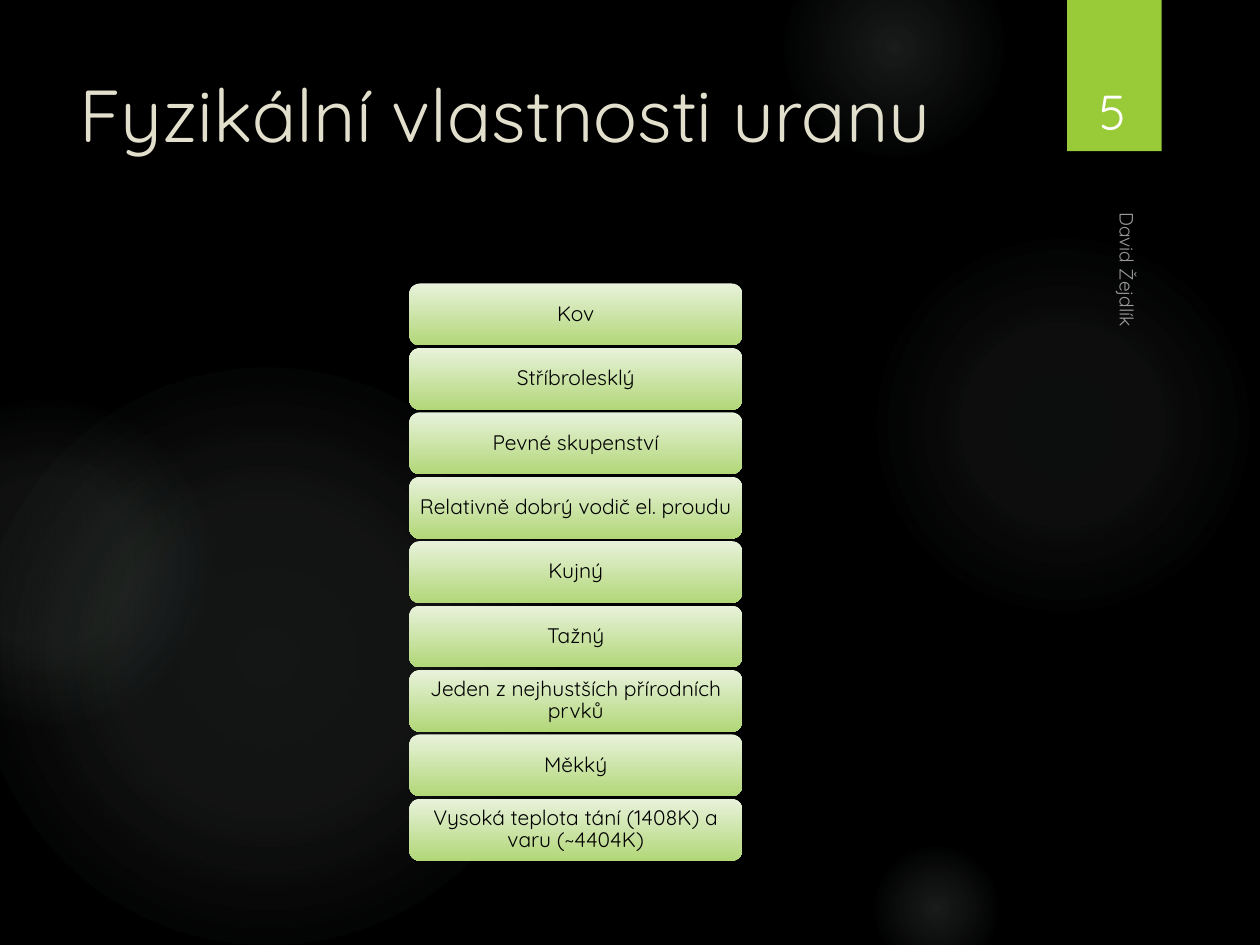
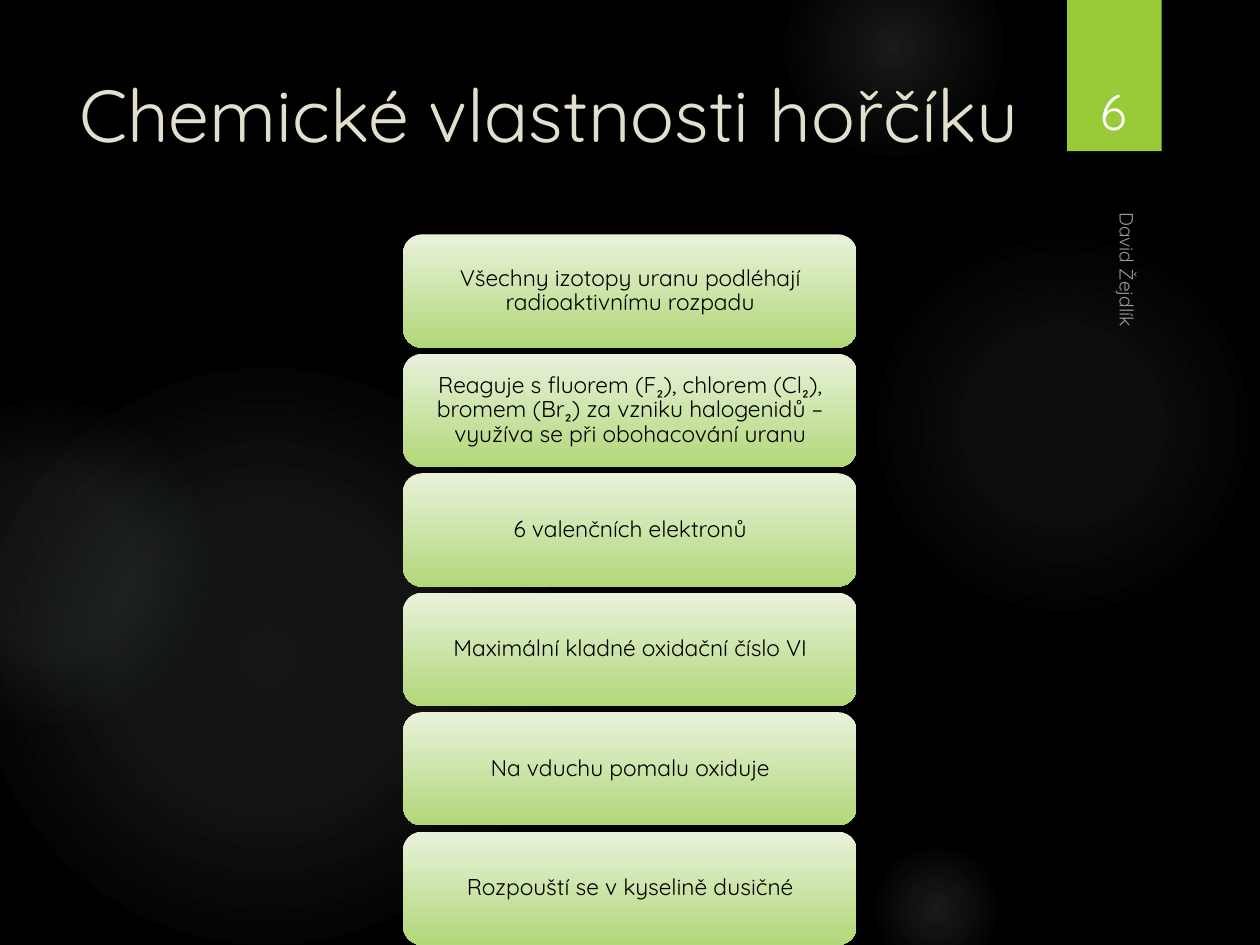
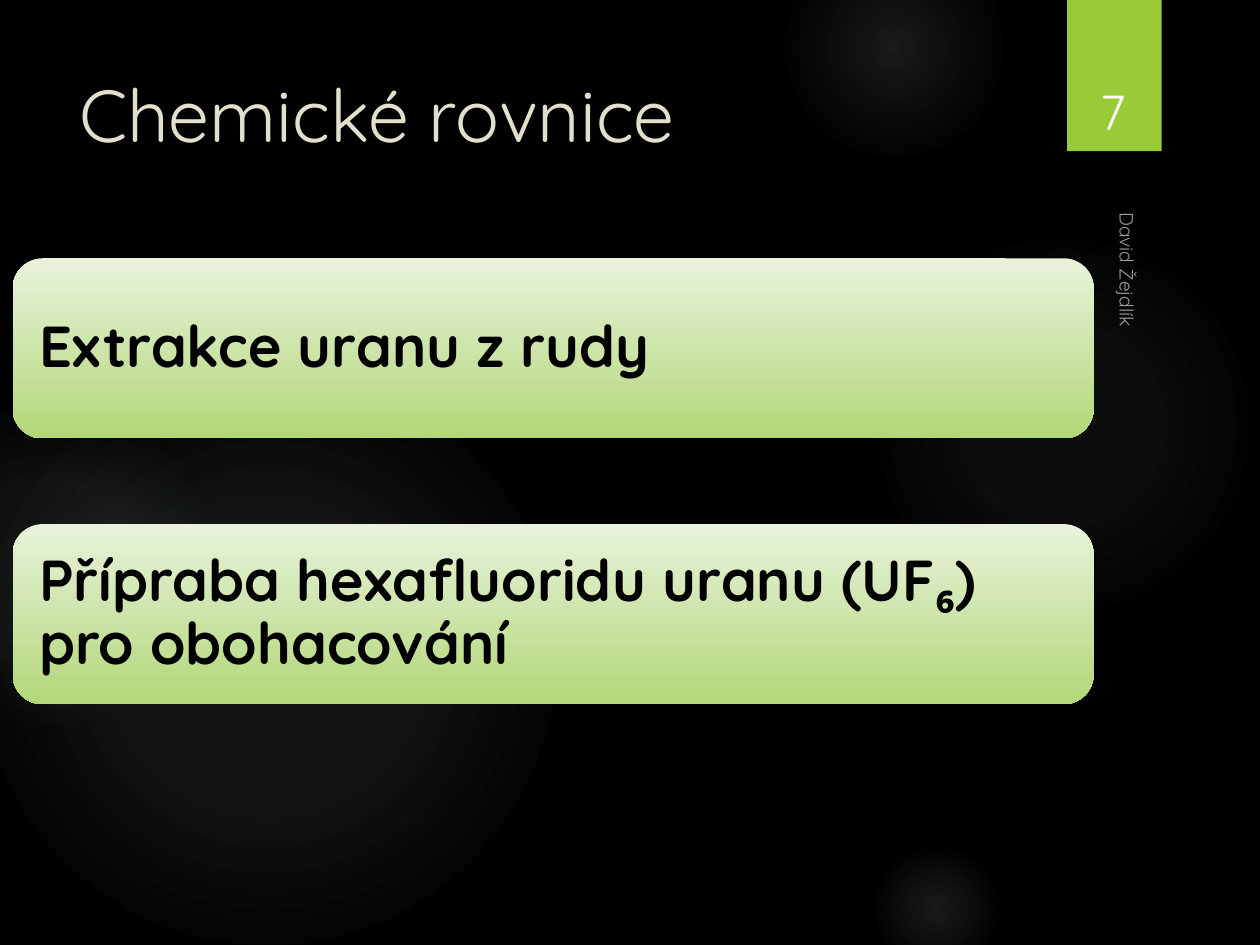
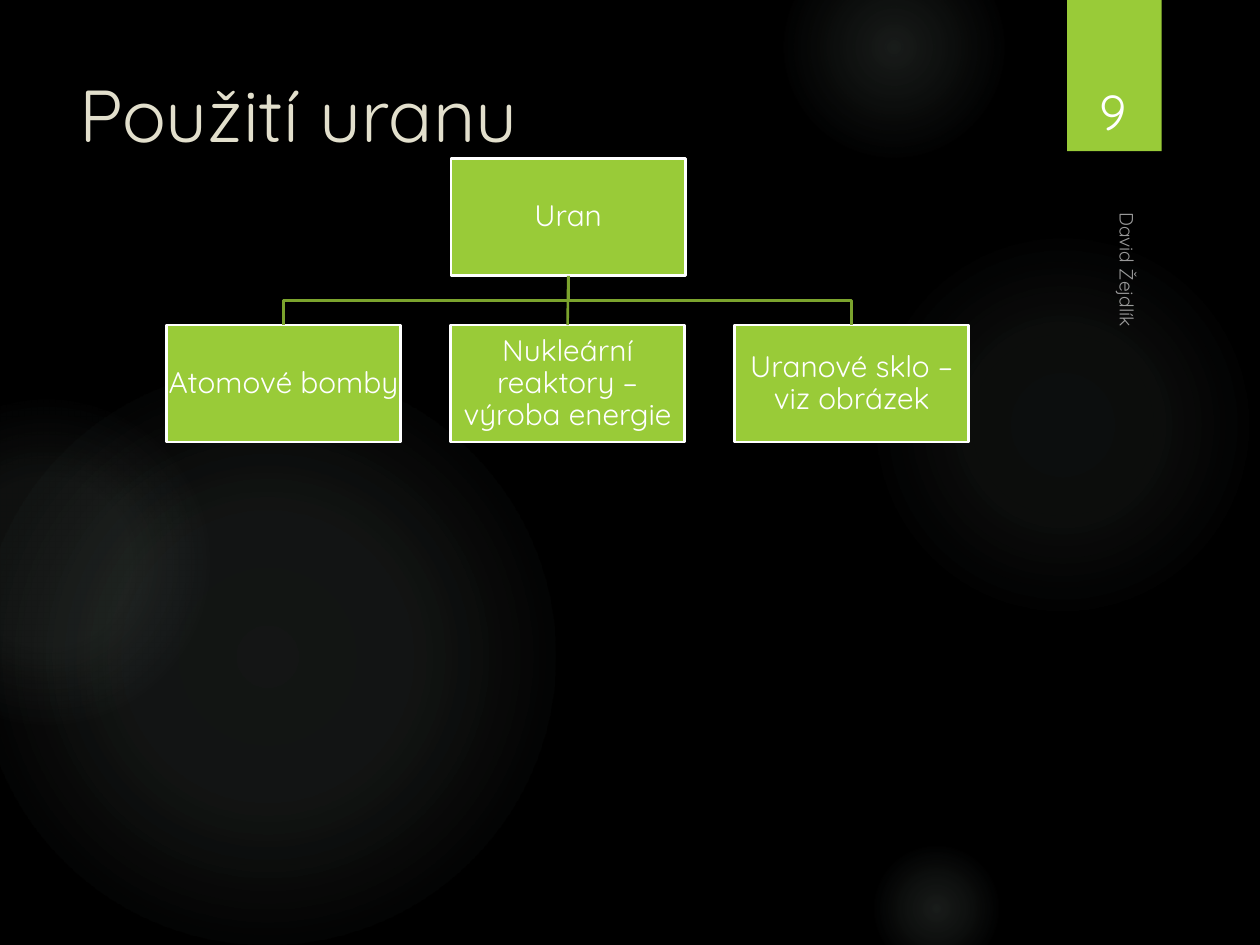
"""Build four slides on the properties, equations and uses of uranium."""
from dataclasses import dataclass

from lxml.etree import SubElement
from pptx import Presentation
from pptx.dml.color import RGBColor
from pptx.enum.shapes import MSO_CONNECTOR, MSO_SHAPE
from pptx.enum.text import MSO_ANCHOR, PP_ALIGN
from pptx.oxml import parse_xml
from pptx.oxml.ns import nsdecls, qn
from pptx.util import Inches, Pt


@dataclass(frozen=True)
class Theme:
    font: str = "Quicksand"
    background: str = "000000"
    glow: str = "AFC5B9"
    accent: str = "99CB38"
    branch: str = "7BA32D"
    title: str = "E2DFCC"
    light: str = "FFFFFF"
    dark: str = "000000"
    panel_top: str = "E8F2DB"
    panel_bottom: str = "B2D778"
    title_size: int = 42
    number_size: int = 28
    author_size: int = 11
    use_size: int = 17
    outline: float = 1.5


THEME = Theme()
AUTHOR = "David Žejdlík"


def write(shape, text, size, color, align=PP_ALIGN.LEFT, anchor=MSO_ANCHOR.TOP,
          inset=(0.1, 0.05), bold=False, spacing=1.0):
    frame = shape.text_frame
    frame.word_wrap = True
    frame.vertical_anchor = anchor
    frame.margin_left = frame.margin_right = Inches(inset[0])
    frame.margin_top = frame.margin_bottom = Inches(inset[1])
    paragraph = frame.paragraphs[0]
    paragraph.alignment = align
    paragraph.line_spacing = spacing
    run = paragraph.add_run()
    run.text = text
    run.font.name = THEME.font
    run.font.size = Pt(size)
    run.font.bold = bold
    run.font.color.rgb = RGBColor.from_string(color)
    return run


def draw(slide, preset, left, top, width, height, color=None):
    shape = slide.shapes.add_shape(
        preset, Inches(left), Inches(top), Inches(width), Inches(height))
    shape.shadow.inherit = False
    shape.line.fill.background()
    if color:
        shape.fill.solid()
        shape.fill.fore_color.rgb = RGBColor.from_string(color)
    else:
        shape.fill.background()
    return shape


GLOWS = [
    (6.89, 1.83, 3.08, [(0, 7), (36, 6), (69, 0)]),
    (6.22, -0.5, 1.75, [(0, 14), (36, 7), (73, 0)]),
    (6.89, 6.67, 1.08, [(0, 14), (36, 7), (66, 0)]),
    (-0.17, 2.92, 4.58, [(0, 11), (36, 10), (75, 0)]),
    (-0.92, 3.17, 2.58, [(0, 8), (36, 8), (72, 0)]),
]

PAGES = [
    ("Fyzikální vlastnosti uranu", 5),
    ("Chemické vlastnosti hořčíku", 6),
    ("Chemické rovnice", 7),
    ("Použití uranu", 9),
]

STACKS = [
    dict(left=3.25, first_top=2.25, last_top=6.34, width=2.64, height=0.49,
         size=12, inset=(0.05, 0.03), align=PP_ALIGN.CENTER, bold=False,
         facts=["Kov", "Stříbrolesklý", "Pevné skupenství",
                "Relativně dobrý vodič el. proudu", "Kujný", "Tažný",
                "Jeden z nejhustších přírodních prvků", "Měkký",
                "Vysoká teplota tání (1408K) a varu (~4404K)"]),
    dict(left=3.2, first_top=1.86, last_top=6.6, width=3.6, height=0.9,
         size=13, inset=(0.05, 0.03), align=PP_ALIGN.CENTER, bold=False,
         facts=["Všechny izotopy uranu podléhají radioaktivnímu rozpadu",
                "Reaguje s fluorem (F₂), chlorem (Cl₂), bromem (Br₂) za vzniku "
                "halogenidů – využíva se při obohacování uranu",
                "6 valenčních elektronů",
                "Maximální kladné oxidační číslo VI",
                "Na vduchu pomalu oxiduje",
                "Rozpouští se v kyselině dusičné"]),
    dict(left=0.1, first_top=2.05, last_top=4.16, width=8.58, height=1.43,
         size=33, inset=(0.14, 0.14), align=PP_ALIGN.LEFT, bold=True,
         facts=["Extrakce uranu z rudy",
                "Přípraba hexafluoridu uranu (UF₆) pro obohacování"]),
]

USES = ["Atomové bomby", "Nukleární reaktory – výroba energie",
        "Uranové sklo – viz obrázek"]

deck = Presentation()
deck.slide_width = Inches(10)
deck.slide_height = Inches(7.5)
slides = []

for heading, number in PAGES:
    slide = deck.slides.add_slide(deck.slide_layouts[6])
    slides.append(slide)
    slide.background.fill.solid()
    slide.background.fill.fore_color.rgb = RGBColor.from_string(THEME.background)

    for left, top, diameter, stops in GLOWS:
        glow = draw(slide, MSO_SHAPE.OVAL, left, top, diameter, diameter)
        stop_list = "".join(
            f'<a:gs pos="{position * 1000}"><a:srgbClr val="{THEME.glow}">'
            f'<a:alpha val="{alpha * 1000}"/></a:srgbClr></a:gs>'
            for position, alpha in stops)
        gradient = parse_xml(
            f'<a:gradFill {nsdecls("a")}><a:gsLst>{stop_list}</a:gsLst>'
            '<a:path path="circle"><a:fillToRect l="50000" t="50000" r="50000" '
            'b="50000"/></a:path></a:gradFill>')
        properties = glow.element.spPr
        properties.replace(properties.find(qn("a:noFill")), gradient)

    draw(slide, MSO_SHAPE.RECTANGLE, 8.47, 0, 0.75, 1.2, THEME.accent)

    title = slide.shapes.add_textbox(
        Inches(0.53), Inches(0.5), Inches(7.72), Inches(1.53))
    write(title, heading, THEME.title_size, THEME.title)

    author = slide.shapes.add_textbox(
        Inches(6.82), Inches(3.57), Inches(4.22), Inches(0.25))
    author.rotation = 90
    signature = write(author, AUTHOR, THEME.author_size, THEME.light,
                      anchor=MSO_ANCHOR.BOTTOM)
    tint = signature.font.fill._xPr.find(qn("a:solidFill"))[0]
    SubElement(tint, qn("a:alpha")).set("val", "60000")

    page_number = slide.shapes.add_textbox(
        Inches(8.49), Inches(0.32), Inches(0.69), Inches(0.84))
    write(page_number, str(number), THEME.number_size, THEME.light,
          PP_ALIGN.CENTER, MSO_ANCHOR.BOTTOM)

for slide, stack in zip(slides, STACKS):
    pitch = (stack["last_top"] - stack["first_top"]) / (len(stack["facts"]) - 1)
    for row, fact in enumerate(stack["facts"]):
        panel = draw(slide, MSO_SHAPE.ROUNDED_RECTANGLE, stack["left"],
                     stack["first_top"] + row * pitch, stack["width"], stack["height"])
        panel.fill.gradient()
        panel.fill.gradient_angle = 270
        for stop, color in zip(panel.fill.gradient_stops,
                               (THEME.panel_top, THEME.panel_bottom)):
            stop.color.rgb = RGBColor.from_string(color)
        write(panel, fact, stack["size"], THEME.dark, stack["align"],
              MSO_ANCHOR.MIDDLE, stack["inset"], stack["bold"], 0.9)

uses_slide = slides[-1]
nodes = []
places = [("Uran", 3.58, 1.26)]
places += [(use, 1.32 + 2.255 * column, 2.58) for column, use in enumerate(USES)]
for label, left, top in places:
    node = draw(uses_slide, MSO_SHAPE.RECTANGLE, left, top, 1.86, 0.93, THEME.accent)
    node.line.color.rgb = RGBColor.from_string(THEME.light)
    node.line.width = Pt(THEME.outline)
    write(node, label, THEME.use_size, THEME.light, PP_ALIGN.CENTER,
          MSO_ANCHOR.MIDDLE, (0.01, 0.01), spacing=0.9)
    nodes.append(node)

uranium, bombs, reactors, glass = nodes
trunk_x = uranium.left + uranium.width // 2
trunk_top = uranium.top + uranium.height
fork_y = (trunk_top + bombs.top) // 2

stem = uses_slide.shapes.add_connector(
    MSO_CONNECTOR.STRAIGHT, trunk_x, trunk_top, trunk_x, reactors.top)
stem.begin_connect(uranium, 2)
stem.end_connect(reactors, 0)
SubElement(stem.element.spPr, qn("a:effectLst"))
branches = [stem]

for use in (bombs, glass):
    use_x = use.left + use.width // 2
    outline = uses_slide.shapes.build_freeform(trunk_x, trunk_top)
    outline.add_line_segments(
        [(trunk_x, fork_y), (use_x, fork_y), (use_x, use.top)], close=False)
    elbow = outline.convert_to_shape()
    elbow.shadow.inherit = False
    elbow.fill.background()
    branches.append(elbow)

for branch in branches:
    branch.line.color.rgb = RGBColor.from_string(THEME.branch)
    branch.line.width = Pt(THEME.outline)

deck.save("out.pptx")
